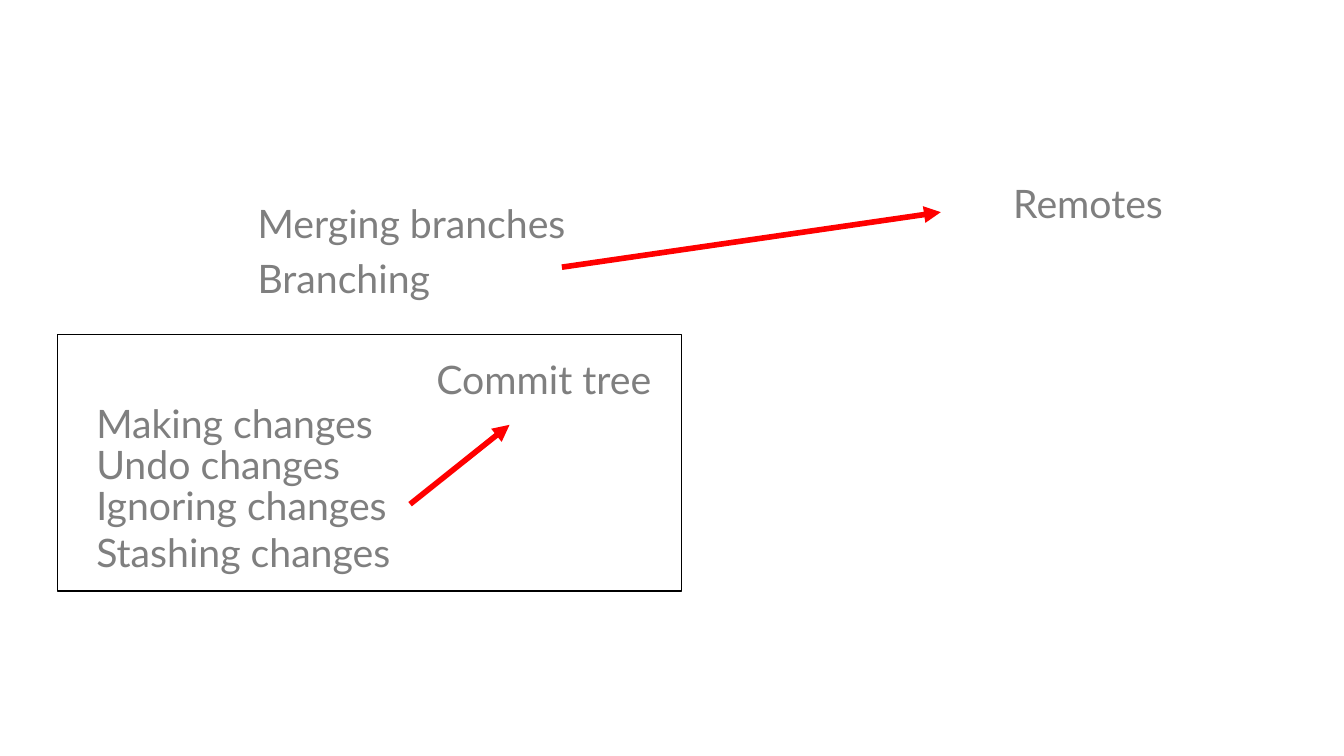
import pptx
import pptx.util
import pptx.dml.color
import pptx.enum.shapes
import pptx.enum.text
import lxml.etree
from pptx.util import Cm, Pt

COLORS = {"text": "7F7F7F", "frame": "000000", "arrow": "FF0000"}
NS = "http://schemas.openxmlformats.org/drawingml/2006/main"


def paint(name):
    return pptx.dml.color.RGBColor.from_string(COLORS[name])


def label(shape, text, left, top, width):
    shape.left, shape.top = Cm(left), Cm(top)
    shape.width, shape.height = Cm(width), Cm(1.68)
    frame = shape.text_frame
    frame.text = text
    frame.word_wrap = True
    frame.auto_size = pptx.enum.text.MSO_AUTO_SIZE.NONE
    frame.vertical_anchor = pptx.enum.text.MSO_ANCHOR.MIDDLE
    frame.margin_left = frame.margin_right = Cm(0.25)
    frame.margin_top = frame.margin_bottom = Cm(0.25)
    line = frame.paragraphs[0]
    line.space_before = Pt(0)
    line.font.name = "Lato"
    line.font.size = Pt(21)
    line.font.bold = False
    line.font.color.rgb = paint("text")
    # No bullet, no indent
    props = line._p.get_or_add_pPr()
    props.set("marL", "0")
    props.set("indent", "0")
    bullet = lxml.etree.Element(f"{{{NS}}}buNone")
    props.find(f"{{{NS}}}defRPr").addprevious(bullet)


deck = pptx.Presentation()
deck.slide_width, deck.slide_height = Cm(25.4), Cm(14.29)

# The comparison layout has four body placeholders
slide = deck.slides.add_slide(deck.slide_layouts[4])
title = slide.shapes.title
title.element.getparent().remove(title.element)

# List of changes
changes = [
    ("Making changes", 7.16, 5.74),
    ("Undo changes", 7.92, 5.74),
    ("Ignoring changes", 8.71, 6.43),
    ("Stashing changes", 9.6, 6.43),
]
for holder, (text, top, width) in zip(list(slide.placeholders), changes):
    label(holder, text, 1.57, top, width)

# Frame around the local work
box = slide.shapes.add_shape(
    pptx.enum.shapes.MSO_SHAPE.RECTANGLE, Cm(1.09), Cm(6.32), Cm(11.79), Cm(4.85)
)
box.shadow.inherit = False
box.fill.background()
box.line.color.rgb = paint("frame")
box.line.width = Pt(0.75)

# Other topics
topics = [
    ("Commit tree", 8, 6.32, 5.74),
    ("Branching", 4.62, 4.42, 5.74),
    ("Merging branches", 4.62, 3.38, 6.81),
    ("Remotes", 18.9, 3, 6.81),
]
for text, left, top, width in topics:
    label(slide.shapes.add_textbox(0, 0, 0, 0), text, left, top, width)

# Arrows
for ends in [(10.62, 5.05, 17.78, 4.01), (7.75, 9.53, 9.63, 8.03)]:
    arrow = slide.shapes.add_connector(
        pptx.enum.shapes.MSO_CONNECTOR.STRAIGHT, *map(Cm, ends)
    )
    arrow.line.color.rgb = paint("arrow")
    arrow.line.width = Pt(3)
    stroke = arrow.line._get_or_add_ln()
    lxml.etree.SubElement(stroke, f"{{{NS}}}tailEnd", type="triangle")
    lxml.etree.SubElement(arrow._element.spPr, f"{{{NS}}}effectLst")

deck.save("out.pptx")
